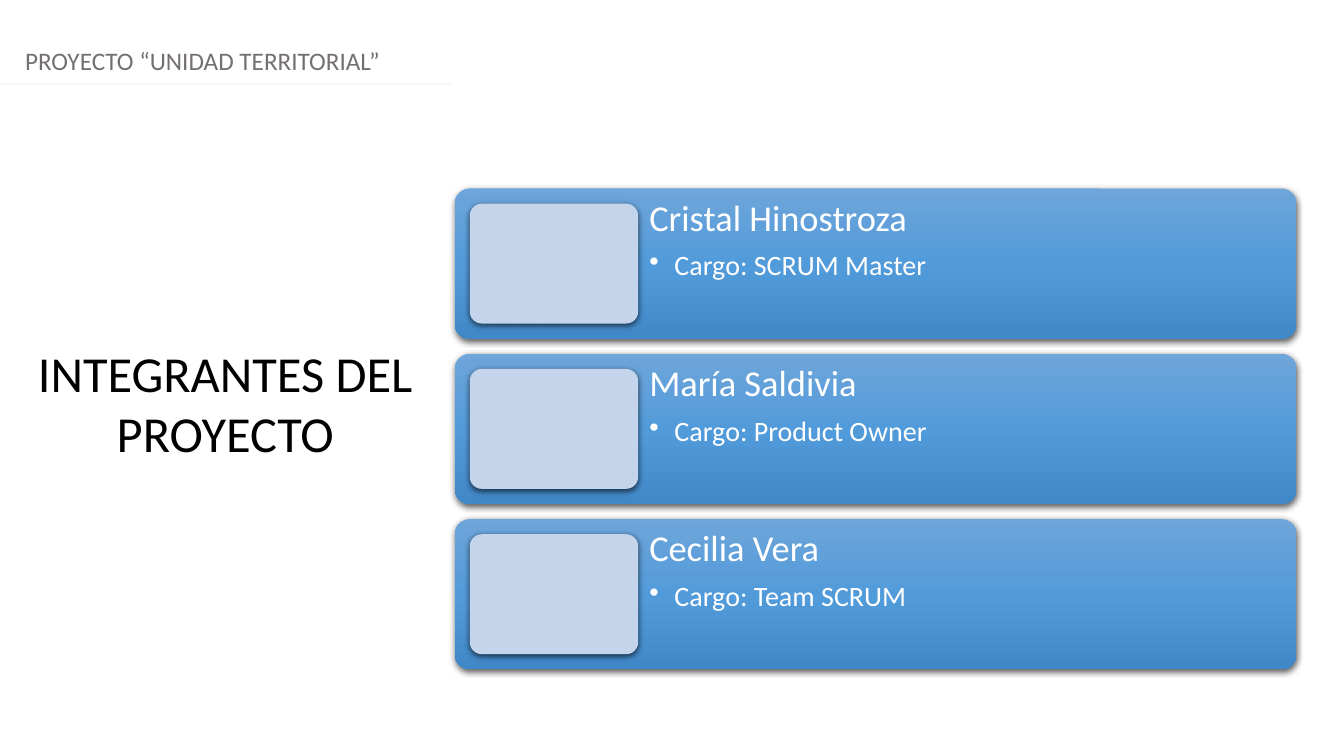
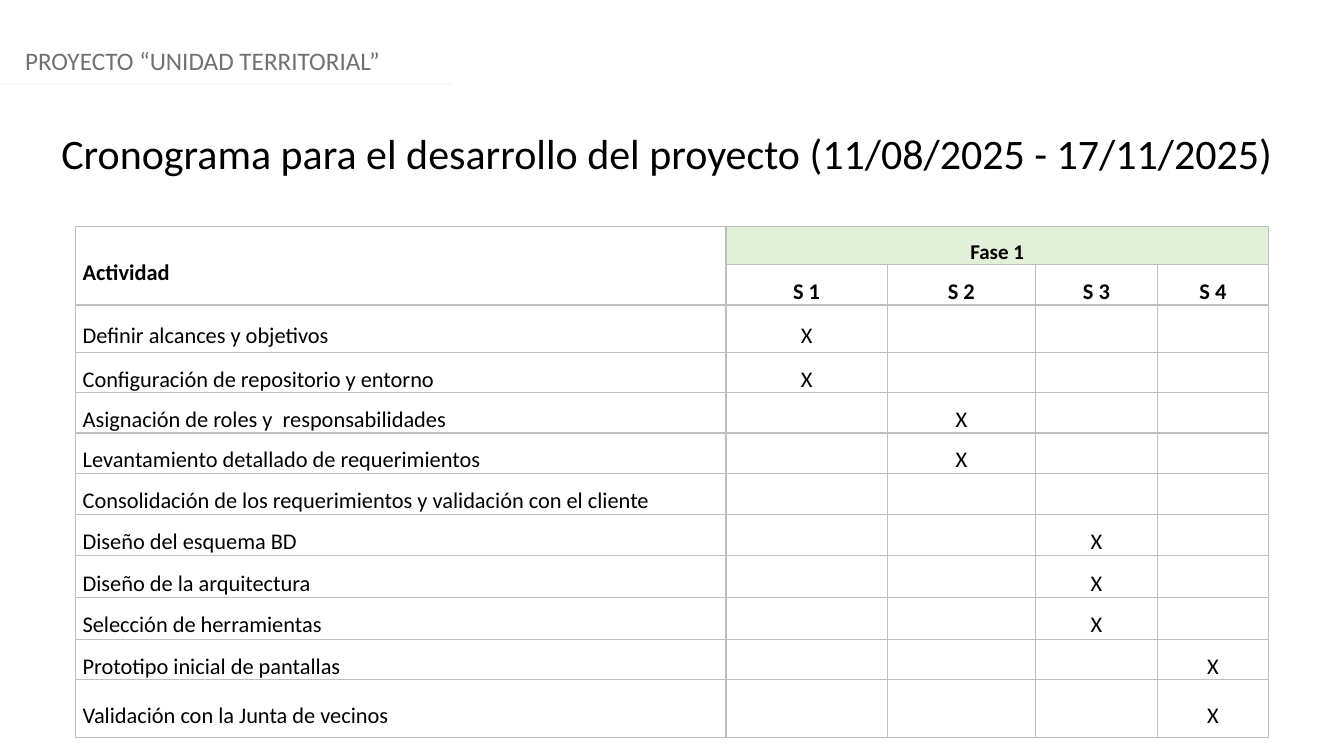
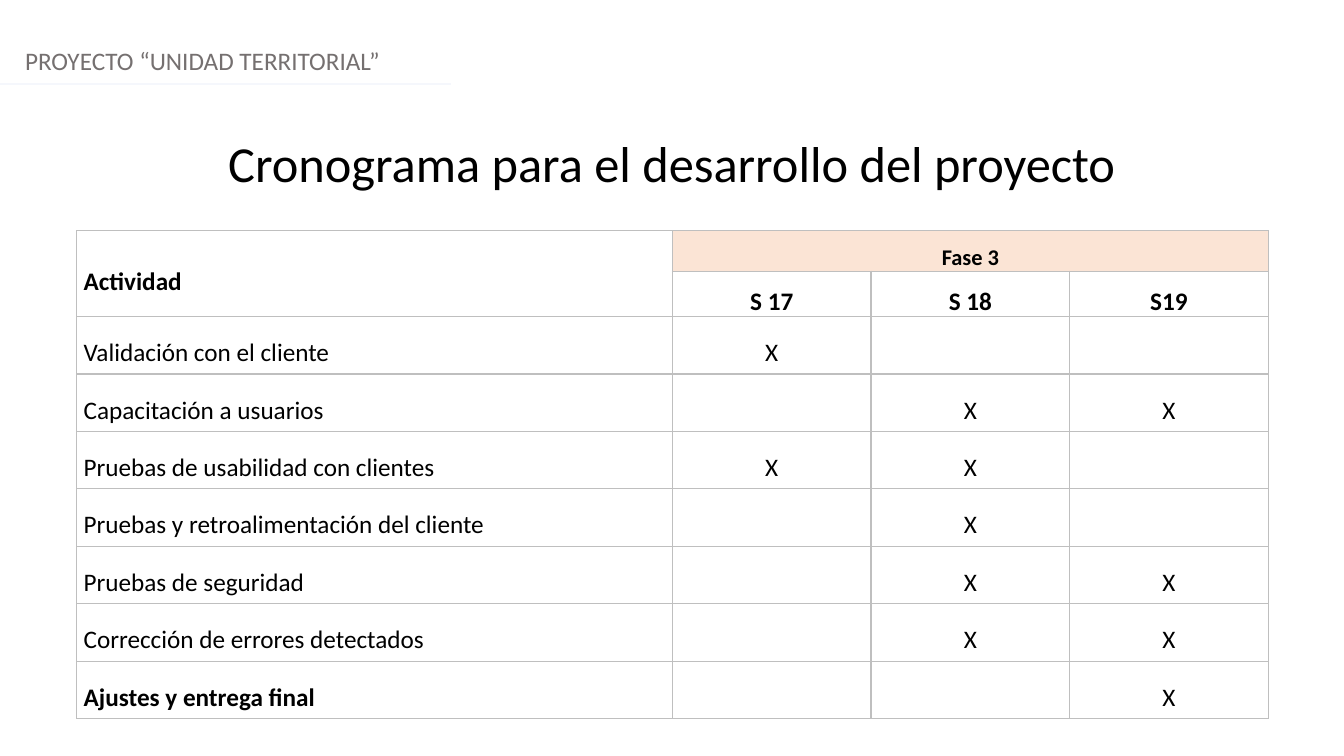
from lxml import etree
from pptx import Presentation
from pptx import util as u
from pptx.dml.color import RGBColor
from pptx.enum import shapes, text
from pptx.oxml.ns import qn

COLORS = {
    "black": "000000", "white": "FFFFFF", "header": "757070", "rule": "F5F7FC",
    "photo": "C3D4EB", "border": "BFBFBF", "phase1": "E2EFD9", "phase3": "FBE4D5",
    "card_top": "6EA5DA", "card_middle": "529BDA", "card_bottom": "4188C8",
}
FONT = "Calibri"
CARD_STOPS = {"card_top": 0, "card_middle": 50, "card_bottom": 100}
LEFT, CENTER, JUSTIFY = (text.PP_ALIGN.LEFT, text.PP_ALIGN.CENTER, text.PP_ALIGN.JUSTIFY)


def rgb(name):
    return RGBColor.from_string(COLORS[name])


def child(parent, tag, **attributes):
    node = etree.SubElement(parent, qn(tag))
    for name, value in attributes.items():
        node.set(name, str(value))
    return node


def apply(target, values):
    for name, value in values.items():
        setattr(target, name, value)


class Deck:
    def __init__(self):
        self.file = Presentation()
        self.file.slide_width = u.Inches(13.33)
        self.file.slide_height = u.Inches(7.5)
        self.page = None

    def new_page(self):
        """Start a slide with the shared header and the rule below it."""
        self.page = self.file.slides.add_slide(self.file.slide_layouts[6])
        self.label((0.15, 0.4, 13.18, 0.4), "PROYECTO “UNIDAD TERRITORIAL”",
                   18, "header", LEFT)
        rule = self.page.shapes.add_connector(
            shapes.MSO_CONNECTOR.STRAIGHT,
            u.Inches(0), u.Inches(0.83), u.Inches(4.47), u.Inches(0.83))
        rule.line.color.rgb = rgb("rule")
        rule.line.width = u.Pt(1.25)
        child(rule._element.spPr, "a:effectLst")

    def add_words(self, para, words, size, color="black", bold=False, **layout):
        apply(para, layout)
        span = para.add_run()
        span.text = words
        apply(span.font, {"name": FONT, "size": u.Pt(size), "bold": bold})
        span.font.color.rgb = rgb(color)

    def text_frame(self, area, **values):
        box = self.page.shapes.add_textbox(*map(u.Inches, area))
        apply(box.text_frame, {"word_wrap": True, **values})
        return box.text_frame

    def label(self, area, words, size, color="black", align=CENTER):
        frame = self.text_frame(area, auto_size=text.MSO_AUTO_SIZE.SHAPE_TO_FIT_TEXT)
        self.add_words(frame.paragraphs[0], words, size, color, alignment=align)

    def panel(self, area, color=None):
        """Rounded panel with a soft shadow; without a colour it takes the card gradient."""
        panel = self.page.shapes.add_shape(
            shapes.MSO_SHAPE.ROUNDED_RECTANGLE, *map(u.Inches, area))
        panel.adjustments[0] = 0.1
        panel.line.fill.background()
        if color:
            panel.fill.solid()
            panel.fill.fore_color.rgb = rgb(color)
        else:
            panel.fill.gradient()
            stops = panel._element.spPr.find(".//" + qn("a:gsLst"))
            stops.clear()
            for name, place in CARD_STOPS.items():
                stop = child(stops, "a:gs", pos=place * 1000)
                child(stop, "a:srgbClr", val=COLORS[name])
            panel.fill.gradient_angle = 270
        effects = child(panel._element.spPr, "a:effectLst")
        shadow = child(effects, "a:outerShdw", blurRad=u.Pt(4.5), dist=u.Pt(1.5),
                       dir=90 * 60000, algn="ctr", rotWithShape=0)
        tint = child(shadow, "a:srgbClr", val=COLORS["black"])
        child(tint, "a:alpha", val=63000)

    def member_card(self, top, name, role):
        left, width, height, inset, photo_width = 4.51, 8.35, 1.49, 0.15, 1.67
        text_left = left + inset + photo_width
        self.panel((left, top, width, height))
        margins = {"margin_" + side: u.Inches(0.11)
                   for side in ("left", "top", "right", "bottom")}
        frame = self.text_frame((text_left, top, left + width - text_left, height), **margins)
        self.add_words(frame.paragraphs[0], name, 26, "white", line_spacing=0.9)
        para = frame.add_paragraph()
        self.add_words(para, "Cargo: " + role, 20, "white", level=1,
                       line_spacing=0.9, space_before=u.Pt(9.1))
        settings = para._p.get_or_add_pPr()
        settings.set("marL", str(u.Inches(0.25)))
        settings.set("indent", str(u.Inches(-0.25)))
        child(settings, "a:buChar", char="•")
        self.panel((left + inset, top + inset, photo_width, height - 2 * inset), "photo")

    def cell(self, cell, words, size, align=CENTER, bold=False, fill=None):
        apply(cell, {"margin_left": u.Inches(0.07), "margin_right": u.Inches(0.07),
                     "margin_top": 0, "margin_bottom": 0,
                     "vertical_anchor": text.MSO_ANCHOR.MIDDLE})
        for side in ("a:lnL", "a:lnR", "a:lnT", "a:lnB"):
            border = child(cell._tc.get_or_add_tcPr(), side, w=u.Pt(1))
            child(child(border, "a:solidFill"), "a:srgbClr", val=COLORS["border"])
        if fill:
            cell.fill.solid()
            cell.fill.fore_color.rgb = rgb(fill)
        else:
            cell.fill.background()
        if words:
            self.add_words(cell.text_frame.paragraphs[0], words, size, bold=bold,
                           alignment=align, line_spacing=1.5)

    def schedule(self, place, widths, heights, phase, fill, weeks, tasks, size,
                 phase_size, bold_tasks=()):
        """Table of tasks, each with the numbers of the week columns that it marks."""
        area = (*place, sum(widths), sum(heights))
        table = self.page.shapes.add_table(
            len(heights), len(widths), *map(u.Inches, area)).table
        apply(table, {"first_row": False, "horz_banding": False})
        for column, width in zip(table.columns, widths):
            column.width = u.Inches(width)
        for row, height in zip(table.rows, heights):
            row.height = u.Inches(height)
        blanks = [""] * (len(weeks) - 1)
        rows = [["Actividad", phase, *blanks], ["", *weeks]]
        for task, marks in tasks:
            rows.append([task] + ["X" if week in marks else ""
                                  for week in range(1, len(weeks) + 1)])
        for r, row in enumerate(rows):
            for c, words in enumerate(row):
                in_phase = r == 0 and c > 0
                self.cell(table.cell(r, c), words,
                          phase_size if in_phase else size,
                          CENTER if c else JUSTIFY,
                          r < 2 or words in bold_tasks,
                          fill if in_phase else None)
        table.cell(0, 0).merge(table.cell(1, 0))
        table.cell(0, 1).merge(table.cell(0, len(weeks)))


def main():
    deck = Deck()

    deck.new_page()
    deck.label((0.26, 3.34, 3.95, 1.31), "INTEGRANTES DEL PROYECTO", 36)
    members = [("Cristal Hinostroza", "SCRUM Master"),
               ("María Saldivia", "Product Owner"),
               ("Cecilia Vera", "Team SCRUM")]
    for index, (name, role) in enumerate(members):
        deck.member_card(1.87 + index * 1.64, name, role)

    deck.new_page()
    deck.label((0, 1.22, 13.33, 0.61),
               "Cronograma para el desarrollo del proyecto (11/08/2025 - 17/11/2025) ", 30)
    deck.schedule(
        (0.75, 2.25), [6.45, 1.6, 1.47, 1.21, 1.1],
        [0.29, 0.33, 0.47, 0.4, 0.38, 0.38, 0.41, 0.41, 0.41, 0.42, 0.35, 0.57],
        "Fase 1", "phase1", ["S 1", "S 2", "S 3", "S 4"],
        [("Definir alcances y objetivos", [1]),
         ("Configuración de repositorio y entorno", [1]),
         ("Asignación de roles y  responsabilidades", [2]),
         ("Levantamiento detallado de requerimientos", [2]),
         ("Consolidación de los requerimientos y validación con el cliente", []),
         ("Diseño del esquema BD", [3]),
         ("Diseño de la arquitectura", [3]),
         ("Selección de herramientas", [3]),
         ("Prototipo inicial de pantallas", [4]),
         ("Validación con la Junta de vecinos", [4])],
        size=16, phase_size=15)

    deck.new_page()
    deck.label((0, 1.26, 13.33, 0.71), "Cronograma para el desarrollo del proyecto", 36)
    deck.schedule(
        (0.76, 2.29), [5.91] + [1.97] * 3, [0.29, 0.16] + [0.57] * 7,
        "Fase 3", "phase3", ["S 17", "S 18", "S19"],
        [("Validación con el cliente", [1]),
         ("Capacitación a usuarios", [2, 3]),
         ("Pruebas de usabilidad con clientes", [1, 2]),
         ("Pruebas y retroalimentación del cliente", [2]),
         ("Pruebas de seguridad", [2, 3]),
         ("Corrección de errores detectados", [2, 3]),
         ("Ajustes y entrega final", [3])],
        size=18, phase_size=16, bold_tasks=["Ajustes y entrega final"])

    deck.file.save("out.pptx")


if __name__ == "__main__":
    main()
